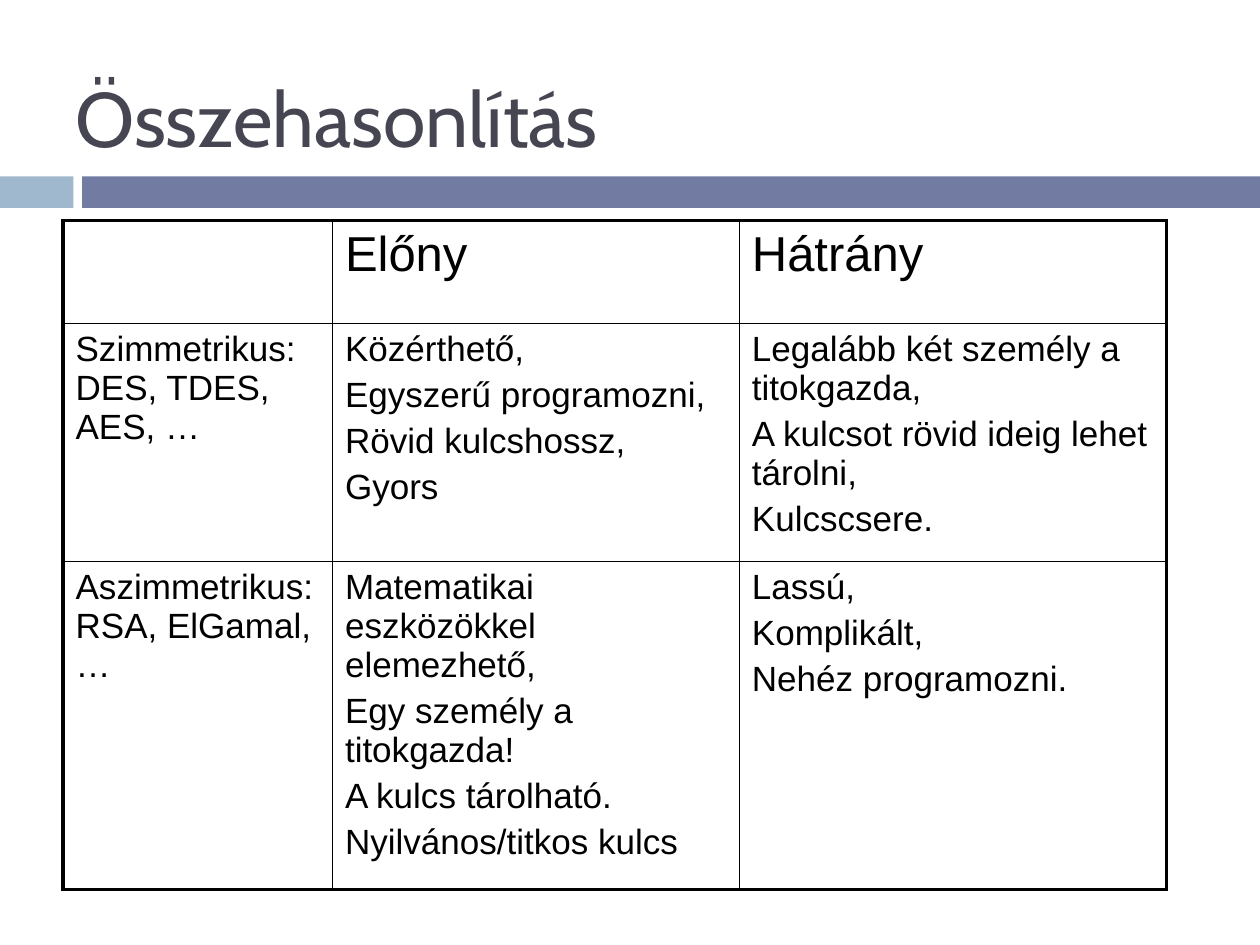
from dataclasses import dataclass

import pptx
import pptx.dml.color
import pptx.enum.shapes
import pptx.enum.text
import pptx.oxml
import pptx.oxml.ns
import pptx.util

Pt = pptx.util.Pt


@dataclass(frozen=True)
class Theme:
    accent: str = "9FB8CD"
    band: str = "727CA3"
    title: str = "464653"
    ink: str = "000000"
    title_font: str = "Cabin"
    body_font: str = "Arial"
    title_size: float = 44
    header_size: float = 28
    body_size: float = 20
    outer_line: float = 2.25
    inner_line: float = 1


THEME = Theme()

# Each cell is a list of paragraphs
ROWS = [
    [[], ["Előny"], ["Hátrány"]],
    [
        ["Szimmetrikus: DES, TDES, AES, …"],
        ["Közérthető,", "Egyszerű programozni,", "Rövid kulcshossz,", "Gyors"],
        ["Legalább két személy a titokgazda,",
         "A kulcsot rövid ideig lehet tárolni,", "Kulcscsere."],
    ],
    [
        ["Aszimmetrikus: RSA, ElGamal, …"],
        ["Matematikai eszközökkel elemezhető,", "Egy személy a titokgazda!",
         "A kulcs tárolható.", "Nyilvános/titkos kulcs"],
        ["Lassú,", "Komplikált,", "Nehéz programozni."],
    ],
]


def rgb(color):
    return pptx.dml.color.RGBColor.from_string(color)


def write_text(frame, paragraphs, *, font, size, color, space_before=0):
    frame.word_wrap = True
    for index, text in enumerate(paragraphs):
        paragraph = frame.add_paragraph() if index else frame.paragraphs[0]
        paragraph.space_before = Pt(space_before)
        run = paragraph.add_run()
        run.text = text
        run.font.name = font
        run.font.size = Pt(size)
        run.font.color.rgb = rgb(color)


def add_title(slide, text, left, top, width, height):
    box = slide.shapes.add_textbox(Pt(left), Pt(top), Pt(width), Pt(height))
    box.text_frame.vertical_anchor = pptx.enum.text.MSO_ANCHOR.MIDDLE
    write_text(box.text_frame, [text], font=THEME.title_font,
               size=THEME.title_size, color=THEME.title)


def add_band(slide, left, top, width, height, accent_width=42, gap=5):
    """Short accent block, a gap, then the long bar."""
    bar_left = accent_width + gap
    for offset, length, color in (
        (0, accent_width, THEME.accent),
        (bar_left, width - bar_left, THEME.band),
    ):
        shape = slide.shapes.add_shape(
            pptx.enum.shapes.MSO_SHAPE.RECTANGLE,
            Pt(left + offset), Pt(top), Pt(length), Pt(height))
        shape.shadow.inherit = False
        shape.fill.solid()
        shape.fill.fore_color.rgb = rgb(color)
        shape.line.fill.background()


def set_borders(cell, **widths):
    """Draw the cell's borders; schema order is L, R, T, B, then the fill."""
    properties = cell._tc.get_or_add_tcPr()
    for index, (side, width) in enumerate(widths.items()):
        properties.insert(index, pptx.oxml.parse_xml(
            f'<a:ln{side} {pptx.oxml.ns.nsdecls("a")} w="{int(Pt(width))}">'
            f'<a:solidFill><a:srgbClr val="{THEME.ink}"/></a:solidFill>'
            f'</a:ln{side}>'))


def add_comparison(slide, rows, left, top, column_widths, row_heights):
    table = slide.shapes.add_table(
        len(rows), len(column_widths), Pt(left), Pt(top),
        Pt(sum(column_widths)), Pt(sum(row_heights))).table
    table.first_row = False
    table.horz_banding = False
    for column, width in zip(table.columns, column_widths):
        column.width = Pt(width)
    for row, height in zip(table.rows, row_heights):
        row.height = Pt(height)

    last_row, last_column = len(rows) - 1, len(column_widths) - 1

    def line(is_outer):
        return THEME.outer_line if is_outer else THEME.inner_line

    for i, row in enumerate(rows):
        size = THEME.body_size if i else THEME.header_size
        for j, paragraphs in enumerate(row):
            cell = table.cell(i, j)
            cell.fill.background()
            set_borders(cell, L=line(j == 0), R=line(j == last_column),
                        T=line(i == 0), B=line(i == last_row))
            write_text(cell.text_frame, paragraphs, font=THEME.body_font,
                       size=size, color=THEME.ink, space_before=0.2 * size)


def main():
    presentation = pptx.Presentation()
    presentation.slide_width = Pt(720)
    presentation.slide_height = Pt(540)
    slide = presentation.slides.add_slide(presentation.slide_layouts[6])

    add_band(slide, 0, 100.8, 720, 18)
    add_title(slide, "Összehasonlítás", 36, 21.6, 648, 90)
    add_comparison(slide, ROWS, 36, 126, [154, 232.5, 244], [59, 136, 181.5])

    presentation.save("out.pptx")


if __name__ == "__main__":
    main()
